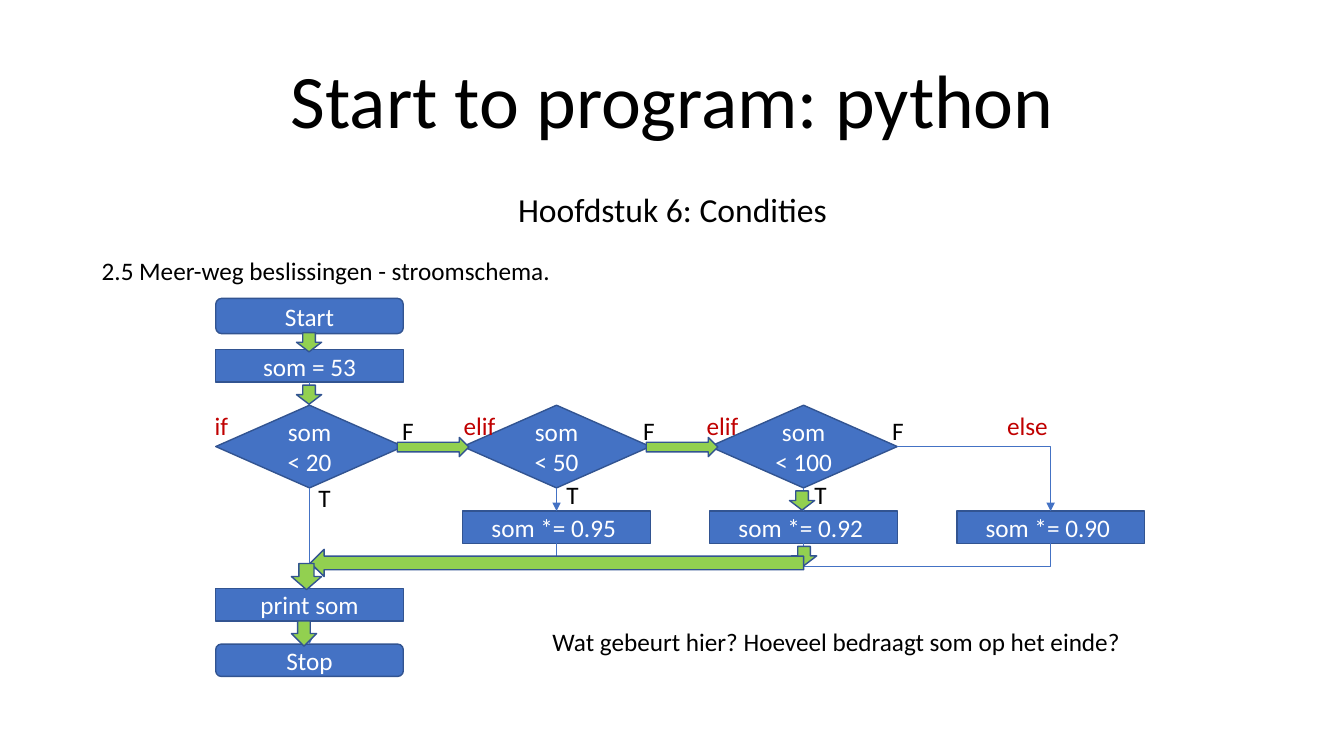
from lxml import etree
from pptx import Presentation
from pptx.dml.color import RGBColor
from pptx.enum.shapes import MSO_CONNECTOR, MSO_SHAPE
from pptx.enum.text import MSO_ANCHOR, MSO_AUTO_SIZE, PP_ALIGN
from pptx.oxml.ns import qn
from pptx.util import Inches, Pt

STRAIGHT, ELBOW = MSO_CONNECTOR.STRAIGHT, MSO_CONNECTOR.ELBOW
RECTANGLE, ROUNDED = MSO_SHAPE.RECTANGLE, MSO_SHAPE.ROUNDED_RECTANGLE
DIAMOND, DOWN_ARROW = MSO_SHAPE.DIAMOND, MSO_SHAPE.DOWN_ARROW
TOP, MIDDLE, BOTTOM = MSO_ANCHOR.TOP, MSO_ANCHOR.MIDDLE, MSO_ANCHOR.BOTTOM
LEFT, CENTER = PP_ALIGN.LEFT, PP_ALIGN.CENTER
GROW = MSO_AUTO_SIZE.SHAPE_TO_FIT_TEXT

COLORS = {"text": "000000", "light": "FFFFFF", "keyword": "C00000",
          "node": "4472C4", "outline": "325491", "path": "92D050"}
FONT = "Calibri"

# Flowchart measures, relative to its top left corner
STEP, NODE_WIDTH, NODE_HEIGHT, TEST_HEIGHT = 2.45, 1.86, 0.32, 0.82
CENTERS = [NODE_WIDTH / 2 + STEP * column for column in range(4)]
START_Y, ASSIGN_Y, TEST_Y, ACTION_Y = 0, 0.51, 1.06, 2.11
MERGE_Y, PRINT_Y, STOP_Y = 2.66, 2.88, 3.43
TEST_MIDDLE, TEST_END = TEST_Y + TEST_HEIGHT / 2, TEST_Y + TEST_HEIGHT


def color(name):
    """Return the named colour."""
    return RGBColor.from_string(COLORS[name])


def write(frame, text, size=18, tint="text", align=LEFT, anchor=TOP):
    """Fill a text frame, one paragraph for each line."""
    frame.text = text
    frame.word_wrap = True
    frame.vertical_anchor = anchor
    for paragraph in frame.paragraphs:
        paragraph.alignment = align
        paragraph.font.name = FONT
        paragraph.font.size = Pt(size)
        paragraph.font.color.rgb = color(tint)


def add_text(slide, left, top, width, height, text, **style):
    """Add a text box and return its frame."""
    box = slide.shapes.add_textbox(Inches(left), Inches(top), Inches(width), Inches(height))
    write(box.text_frame, text, **style)
    return box.text_frame


def add_label(slide, left, top, width, text, tint="text"):
    """Add a one-line text box that grows with its text."""
    frame = add_text(slide, left, top, width, 0.4, text, tint=tint)
    frame.auto_size = GROW


def add_block(slide, kind, left, top, width, height, fill):
    """Add an outlined, filled preset shape."""
    shape = slide.shapes.add_shape(kind, Inches(left), Inches(top), Inches(width), Inches(height))
    shape.shadow.inherit = False
    shape.fill.solid()
    shape.fill.fore_color.rgb = color(fill)
    shape.line.color.rgb = color("outline")
    shape.line.width = Pt(1)
    return shape


def add_node(slide, kind, left, top, text, height=NODE_HEIGHT):
    """Add a labelled flowchart node."""
    shape = add_block(slide, kind, left, top, NODE_WIDTH, height, "node")
    write(shape.text_frame, text, tint="light", align=CENTER, anchor=MIDDLE)


def add_path_arrow(slide, left, top, width, height, rotation=0):
    """Add a green block arrow on the path that is followed."""
    add_block(slide, DOWN_ARROW, left, top, width, height, "path").rotation = rotation


def add_link(slide, x1, y1, x2, y2, kind=STRAIGHT):
    """Add a thin connector with an arrowhead at its end."""
    link = slide.shapes.add_connector(kind, Inches(x1), Inches(y1), Inches(x2), Inches(y2))
    link.line.color.rgb = color("node")
    link.line.width = Pt(0.5)
    etree.SubElement(link.line._get_or_add_ln(), qn("a:tailEnd"), type="triangle")
    properties = link._element.spPr
    etree.SubElement(properties, qn("a:effectLst"))
    if kind == ELBOW:
        properties.find(qn("a:prstGeom")).set("prst", "bentConnector2")
    return properties


def add_headings(slide, left, top, width):
    """Add the course title and the chapter below it."""
    title = add_text(slide, left, top, width, 1.81, "Start to program: python",
                     size=54, align=CENTER, anchor=BOTTOM)
    title.margin_bottom = Inches(0.87)
    chapter = add_text(slide, left, top + 1.37, width, 0.58, "Hoofdstuk 6: Condities",
                       size=24, align=CENTER)
    for frame in (title, chapter):
        frame.paragraphs[0].line_spacing = 0.9
    chapter.paragraphs[0].space_before = Pt(10)


def add_nodes(slide, left, top):
    """Add the main column, the tests and the actions."""
    add_node(slide, ROUNDED, left, top + START_Y, "Start", 0.35)
    add_node(slide, RECTANGLE, left, top + ASSIGN_Y, "som = 53")
    for column, limit in enumerate((20, 50, 100)):
        add_node(slide, DIAMOND, left + STEP * column, top + TEST_Y,
                 f"som\n< {limit}", TEST_HEIGHT)
    for column, factor in enumerate(("0.95", "0.92", "0.90"), start=1):
        add_node(slide, RECTANGLE, left + STEP * column, top + ACTION_Y, f"som *= {factor} ")
    add_node(slide, RECTANGLE, left, top + PRINT_Y, "print som")
    add_node(slide, ROUNDED, left, top + STOP_Y, "Stop")


def add_links(slide, left, top):
    """Connect the nodes."""
    drops = [(0, 0.35, ASSIGN_Y), (0, ASSIGN_Y + NODE_HEIGHT, TEST_Y),
             (0, TEST_END, PRINT_Y), (0, PRINT_Y + NODE_HEIGHT, STOP_Y)]
    for column in (1, 2):
        drops += [(column, TEST_END, ACTION_Y), (column, ACTION_Y + NODE_HEIGHT, MERGE_Y)]
        add_link(slide, left + STEP * (column - 1) + NODE_WIDTH, top + TEST_MIDDLE,
                 left + STEP * column, top + TEST_MIDDLE)
    for column, start, end in drops:
        x = left + CENTERS[column]
        add_link(slide, x, top + start, x, top + end)

    add_link(slide, left + STEP * 2 + NODE_WIDTH, top + TEST_MIDDLE,
             left + CENTERS[3], top + ACTION_Y, ELBOW)
    # The return elbow is laid out upright about its middle, then turned a quarter
    span, drop = CENTERS[3] - CENTERS[0], MERGE_Y - ACTION_Y - NODE_HEIGHT
    x = left + (CENTERS[0] + CENTERS[3]) / 2
    y = top + MERGE_Y - drop / 2
    properties = add_link(slide, x - drop / 2, y - span / 2, x + drop / 2, y + span / 2, ELBOW)
    properties.find(qn("a:xfrm")).set("rot", str(90 * 60000))


def add_labels(slide, left, top):
    """Mark the branches and their keywords."""
    for x in (1.75, 4.14, 6.61):
        add_label(slide, left + x, top + 1.11, 0.3, "F")
    for x, y in ((0.92, 1.78), (3.38, 1.75), (5.84, 1.75)):
        add_label(slide, left + x, top + y, 0.3, "T")
    for x, width, word in ((-0.11, 0.34, "if"), (2.36, 0.56, "elif"),
                           (4.77, 0.56, "elif"), (7.75, 0.71, "else")):
        add_label(slide, left + x, top + TEST_Y, width, word, "keyword")


def add_followed_path(slide, left, top):
    """Lay the green arrows along the path for this value."""
    for x, y in ((0.8, 0.34), (0.8, 0.86), (5.69, 1.91), (5.71, 2.46)):
        add_path_arrow(slide, left + x, top + y, 0.25, 0.19)
    for x in (2.06, 4.53):
        add_path_arrow(slide, left + x, top + 1.12, 0.19, 0.71, 270)
    add_path_arrow(slide, left + 3.25, top + 0.18, 0.27, 4.89, 90)
    add_path_arrow(slide, left + 0.75, top + 2.63, 0.3, 0.26)
    add_path_arrow(slide, left + 0.75, top + 3.2, 0.25, 0.25)


def add_flowchart(slide, left, top):
    """Build the flowchart from back to front."""
    for add_layer in (add_nodes, add_links, add_labels, add_followed_path):
        add_layer(slide, left, top)


presentation = Presentation()
presentation.slide_width, presentation.slide_height = Inches(13.33), Inches(7.5)
slide = presentation.slides.add_slide(presentation.slide_layouts[6])
add_headings(slide, 1.67, 0.5, 10)
add_label(slide, 0.91, 2.48, 5.5, "2.5 Meer-weg beslissingen - stroomschema.")
add_flowchart(slide, 2.14, 2.96)
add_label(slide, 5.38, 6.16, 7.18, "Wat gebeurt hier? Hoeveel bedraagt som op het einde?")
presentation.save("out.pptx")
